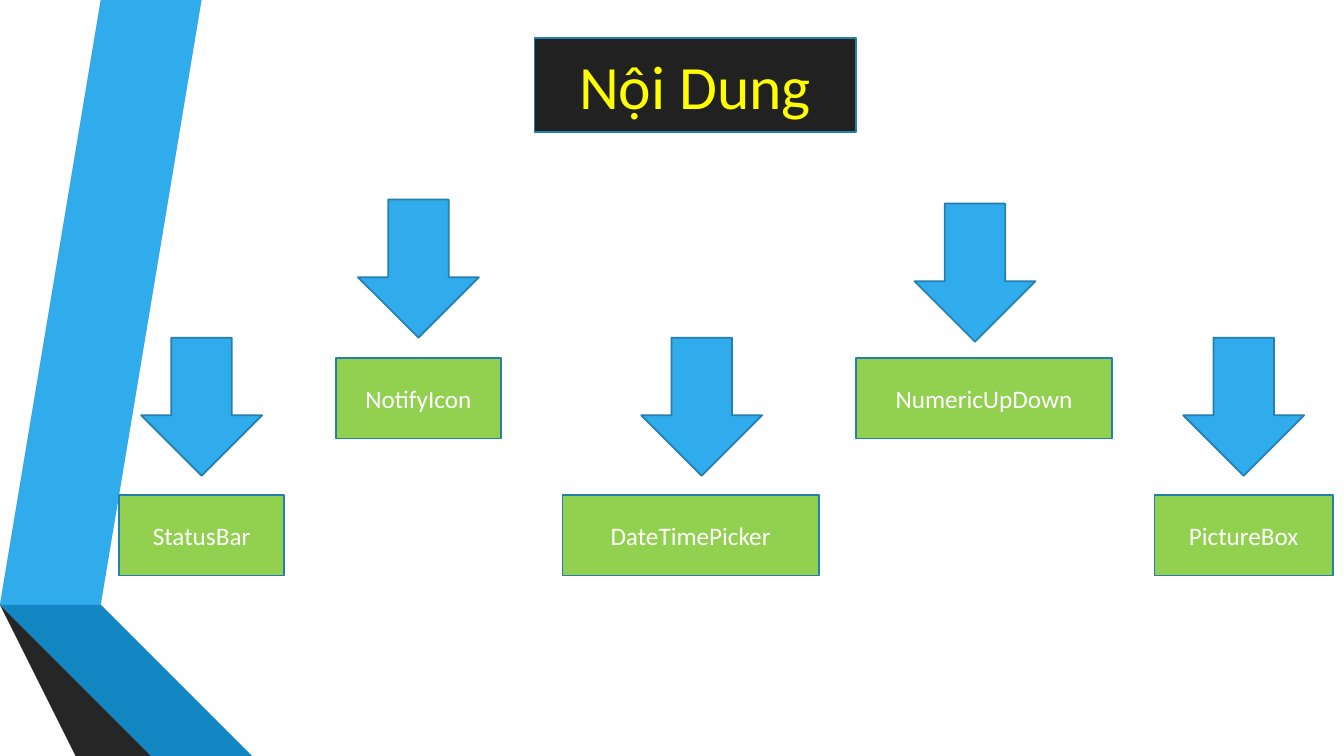
import pptx
import pptx.util
import pptx.dml.color
import pptx.enum.shapes
import pptx.enum.text

Inches = pptx.util.Inches
SHAPES = pptx.enum.shapes.MSO_SHAPE
BLUE, EDGE, GREEN = "30ACEC", "247FAF", "92D050"

BANDS = [
    (BLUE, [(0.5, 5.78), (0.77, 5.83), (1.73, 0), (1.45, 0)]),
    ("595959", [(1.39, 0), (1.11, 0), (0.16, 5.73), (0.44, 5.77)]),
    ("262626", [(0.16, 5.73), (1.45, 7.5), (1.51, 7.5)]),
    ("0C5A82", [(0.5, 5.79), (2.08, 7.5), (2.14, 7.5)]),
    ("1287C3", [(0.5, 5.79), (2.14, 7.5), (2.83, 7.5), (0.77, 5.83), (0.5, 5.78)]),
    ("404040", [(2.02, 7.5), (0.48, 5.83), (0.43, 5.77), (0.16, 5.73), (1.51, 7.5)]),
]

HIGH, LOW = 3.55, 4.91
TOPICS = [
    ("StatusBar", 1.18, LOW, 1.64, 3.35),
    ("NotifyIcon", 3.33, HIGH, 1.64, 1.98),
    ("DateTimePicker", 5.58, LOW, 2.54, 3.35),
    ("NumericUpDown", 8.49, HIGH, 2.54, 2.02),
    ("PictureBox", 11.45, LOW, 1.77, 3.35),
]
ARROW = 1.2


def color(code):
    """Turn a hex string into a colour."""
    return pptx.dml.color.RGBColor.from_string(code)


def paint(shape, fill, edge=None):
    """Set fill and outline, and drop the shadow."""
    shape.shadow.inherit = False
    shape.fill.solid()
    shape.fill.fore_color.rgb = color(fill)
    if edge:
        shape.line.color.rgb = color(edge)
        shape.line.width = pptx.util.Pt(1.25)
    else:
        shape.line.fill.background()


def add_band(slide, fill, points):
    """Draw one filled polygon of the side ribbon."""
    build = slide.shapes.build_freeform(*points[0], scale=Inches(1))
    build.add_line_segments(points[1:], close=True)
    paint(build.convert_to_shape(), fill)


def add_shape(slide, kind, left, top, width, height, fill):
    """Draw one outlined preset shape."""
    place = [Inches(n) for n in (left, top, width, height)]
    shape = slide.shapes.add_shape(kind, *place)
    paint(shape, fill, EDGE)
    return shape


def add_box(slide, text, place, fill, ink, size):
    """Draw a rectangle with a centred label."""
    frame = add_shape(slide, SHAPES.RECTANGLE, *place, fill).text_frame
    frame.word_wrap = True
    frame.vertical_anchor = pptx.enum.text.MSO_ANCHOR.MIDDLE
    para = frame.paragraphs[0]
    para.alignment = pptx.enum.text.PP_ALIGN.CENTER
    run = para.add_run()
    run.text = text
    run.font.name = "Calibri"
    run.font.size = pptx.util.Pt(size)
    run.font.color.rgb = color(ink)


def main():
    """Build the contents slide."""
    deck = pptx.Presentation()
    deck.slide_width, deck.slide_height = Inches(13.33), Inches(7.5)
    slide = deck.slides.add_slide(deck.slide_layouts[6])
    for fill, points in BANDS:
        add_band(slide, fill, points)
    add_box(slide, "Nội Dung", (5.3, 0.38, 3.19, 0.93), "212121", "FFFF00", 44)
    for text, left, top, width, start in TOPICS:
        add_box(slide, text, (left, top, width, 0.8), GREEN, "FFFFFF", 18)
        middle = left + (width - ARROW) / 2
        if text == "NumericUpDown":
            middle = 9.07
        elif text == "DateTimePicker":
            middle = 6.36
        add_shape(slide, SHAPES.DOWN_ARROW, middle, start, ARROW, 1.37, BLUE)
    deck.save("out.pptx")


if __name__ == "__main__":
    main()
